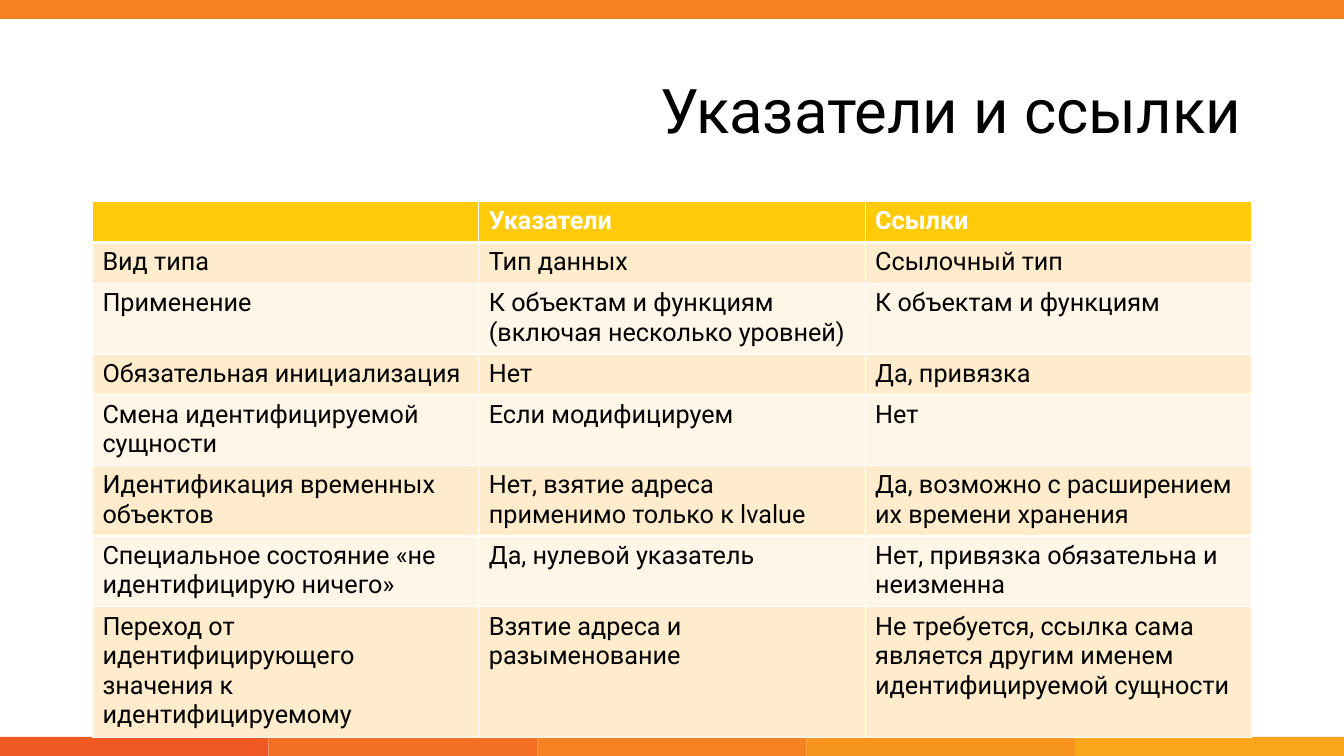
import pptx
import pptx.util
import pptx.dml.color
import pptx.enum.shapes
import pptx.enum.text
import lxml.etree

Cm, Pt = pptx.util.Cm, pptx.util.Pt
ALIGN = pptx.enum.text.PP_ALIGN
RECT = pptx.enum.shapes.MSO_SHAPE.RECTANGLE
MIDDLE = pptx.enum.text.MSO_ANCHOR.MIDDLE
WIDTH, HEIGHT, BAR = 33.87, 19.05, 0.48


def paint(fill, color):
    fill.solid()
    fill.fore_color.rgb = pptx.dml.color.RGBColor.from_string(color)


def write(frame, text, size=18, color="000000", bold=False, align=ALIGN.LEFT, line=1.0):
    frame.word_wrap = True
    para = frame.paragraphs[0]
    para.alignment = align
    para.line_spacing = line
    font = para.font
    if text:
        run = para.add_run()
        run.text = text
        font = run.font
    font.name, font.size, font.bold = "Roboto", Pt(size), bold
    paint(font.fill, color)


deck = pptx.Presentation()
deck.slide_width, deck.slide_height = Cm(WIDTH), Cm(HEIGHT)
slide = deck.slides.add_slide(deck.slide_layouts[6])

# Top bar and the five bottom bars
step = WIDTH / 5
bars = [(0, 0, WIDTH, "F58220")]
for i, color in enumerate(["F15922", "F36F21", "F58220", "F7941E", "FAA61A"]):
    bars.append((i * step, HEIGHT - BAR, step, color))
for left, top, width, color in bars:
    bar = slide.shapes.add_shape(RECT, Cm(left), Cm(top), Cm(width), Cm(BAR))
    bar.shadow.inherit = False
    paint(bar.fill, color)
    bar.line.fill.background()

# Title
title = slide.shapes.add_textbox(Cm(2.33), Cm(1.01), Cm(29.21), Cm(3.68)).text_frame
title.vertical_anchor = MIDDLE
write(title, "Указатели и ссылки", size=44, align=ALIGN.RIGHT, line=0.9)

# Table
rows = [
    ("", "Указатели", "Ссылки"),
    ("Вид типа", "Тип данных", "Ссылочный тип"),
    ("Применение", "К объектам и функциям (включая несколько уровней)",
     "К объектам и функциям"),
    ("Обязательная инициализация", "Нет", "Да, привязка"),
    ("Смена идентифицируемой сущности", "Если модифицируем", "Нет"),
    ("Идентификация временных объектов",
     "Нет, взятие адреса применимо только к lvalue",
     "Да, возможно с расширением их времени хранения"),
    ("Специальное состояние «не идентифицирую ничего»", "Да, нулевой указатель",
     "Нет, привязка обязательна и неизменна"),
    ("Переход от идентифицирующего значения к идентифицируемому",
     "Взятие адреса и разыменование",
     "Не требуется, ссылка сама является другим именем идентифицируемой сущности"),
]
table = slide.shapes.add_table(len(rows), 3, Cm(2.33), Cm(5.08), Cm(29.21),
                               Cm(1.03 * len(rows))).table
NS = "http://schemas.openxmlformats.org/drawingml/2006/main"
for r, texts in enumerate(rows):
    head = r == 0
    table.rows[r].height = Cm(1.03)
    for c, text in enumerate(texts):
        cell = table.cell(r, c)
        write(cell.text_frame, text, color="FFFFFF" if head else "000000", bold=head)

        # White borders, thick under the header
        props = cell._tc.get_or_add_tcPr()
        for side in "LRTB":
            thick = (r, side) in [(0, "B"), (1, "T")]
            edge = lxml.etree.SubElement(props, f"{{{NS}}}ln{side}",
                                         w=str(Pt(3 if thick else 1)))
            solid = lxml.etree.SubElement(edge, f"{{{NS}}}solidFill")
            lxml.etree.SubElement(solid, f"{{{NS}}}srgbClr", val="FFFFFF")
        paint(cell.fill, "FFCA08" if head else "FFECCC" if r % 2 else "FFF6E7")

deck.save("out.pptx")
